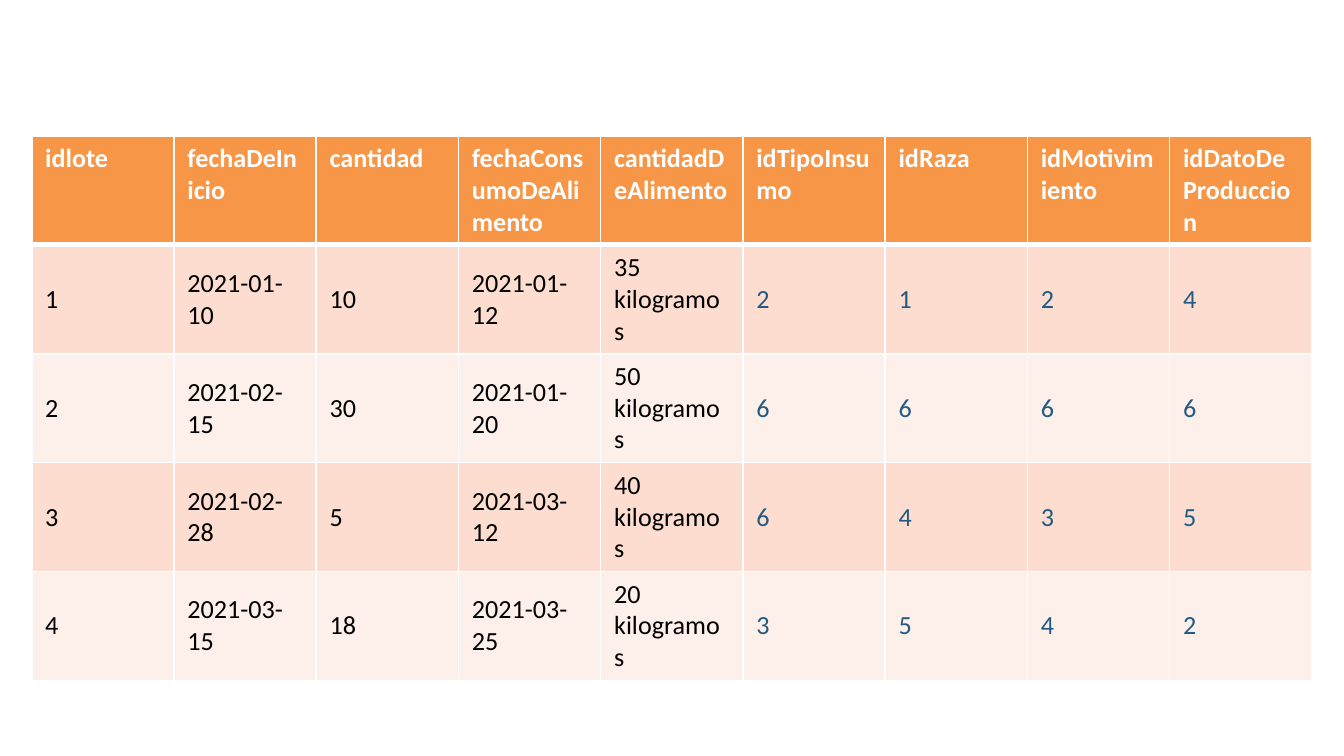
from dataclasses import dataclass

from lxml.etree import SubElement
from pptx import Presentation
from pptx.dml.color import RGBColor
from pptx.enum.text import MSO_ANCHOR
from pptx.oxml.ns import qn
from pptx.table import _Cell
from pptx.util import Cm, Pt

COLORS = {
    "header": "F79646",
    "odd_row": "FCDDCF",
    "even_row": "FDEFE9",
    "white": "FFFFFF",
    "black": "000000",
    "foreign_key": "235A81",
}


@dataclass(frozen=True)
class Field:
    name: str
    values: tuple[str, ...]
    color: str = "black"


@dataclass(frozen=True)
class CellStyle:
    fill: str
    color: str
    anchor: MSO_ANCHOR = MSO_ANCHOR.MIDDLE
    bold: bool = False
    top_border: float = 1
    bottom_border: float = 1


FIELDS = (
    Field("idlote", ("1", "2", "3", "4")),
    Field("fechaDeInicio", ("2021-01-10", "2021-02-15", "2021-02-28", "2021-03-15")),
    Field("cantidad", ("10", "30", "5", "18")),
    Field("fechaConsumoDeAlimento", ("2021-01-12", "2021-01-20", "2021-03-12", "2021-03-25")),
    Field("cantidadDeAlimento", tuple(f"{weight} kilogramos" for weight in (35, 50, 40, 20))),
    Field("idTipoInsumo", ("2", "6", "6", "3"), "foreign_key"),
    Field("idRaza", ("1", "6", "4", "5"), "foreign_key"),
    Field("idMotivimiento", ("2", "6", "3", "4"), "foreign_key"),
    Field("idDatoDeProduccion", ("4", "6", "5", "2"), "foreign_key"),
)
HEADER = CellStyle("header", "white", MSO_ANCHOR.TOP, bold=True, bottom_border=3)


def set_borders(cell: _Cell, style: CellStyle) -> None:
    """Add white borders, which must precede the fill in the cell properties."""
    properties = cell._tc.get_or_add_tcPr()
    widths = {"a:lnL": 1, "a:lnR": 1, "a:lnT": style.top_border, "a:lnB": style.bottom_border}
    for position, (side, width) in enumerate(widths.items()):
        border = SubElement(properties, qn(side), w=str(Pt(width)))
        fill = SubElement(border, qn("a:solidFill"))
        SubElement(fill, qn("a:srgbClr"), val=COLORS["white"])
        properties.insert(position, border)


def write_cell(cell: _Cell, text: str, style: CellStyle) -> None:
    cell.text_frame.text = text
    cell.vertical_anchor = style.anchor
    cell.fill.solid()
    cell.fill.fore_color.rgb = RGBColor.from_string(COLORS[style.fill])
    font = cell.text_frame.paragraphs[0].runs[0].font
    font.name = "Calibri"
    font.size = Pt(14)
    font.bold = style.bold
    font.color.rgb = RGBColor.from_string(COLORS[style.color])
    set_borders(cell, style)


def body_style(row: int, color: str) -> CellStyle:
    fill = "odd_row" if row % 2 else "even_row"
    return CellStyle(fill, color, top_border=3 if row == 1 else 1)


def main() -> None:
    presentation = Presentation()
    presentation.slide_width = Cm(25.4)
    presentation.slide_height = Cm(14.29)
    slide = presentation.slides.add_slide(presentation.slide_layouts[6])

    row_count = len(FIELDS[0].values) + 1
    lots = slide.shapes.add_table(
        row_count, len(FIELDS), Cm(0.6), Cm(2.57), Cm(24.2), Cm(1.4) * row_count
    ).table
    for column, field in enumerate(FIELDS):
        write_cell(lots.cell(0, column), field.name, HEADER)
        for row, value in enumerate(field.values, start=1):
            write_cell(lots.cell(row, column), value, body_style(row, field.color))

    presentation.save("out.pptx")


if __name__ == "__main__":
    main()
